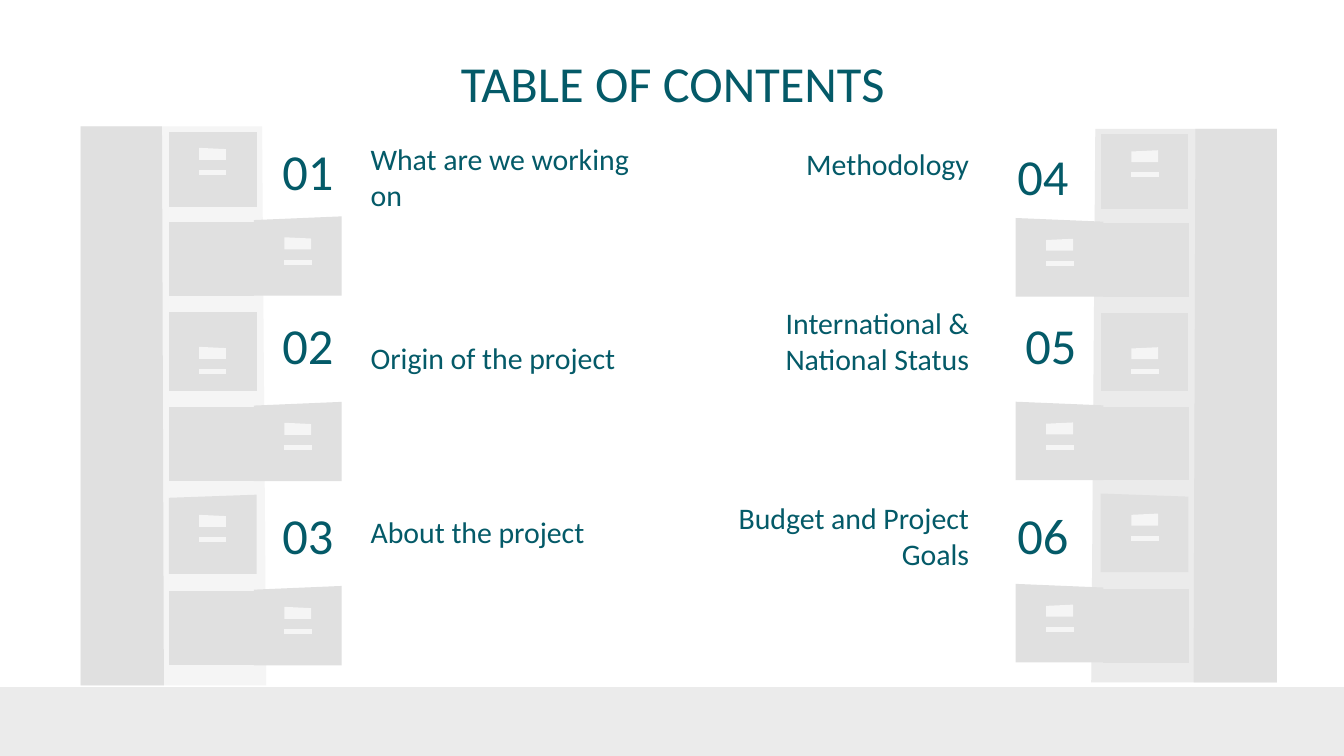
from pptx import Presentation
from pptx.dml.color import RGBColor
from pptx.enum.text import MSO_ANCHOR, PP_ALIGN
from pptx.util import Pt

TEAL = RGBColor(0x04, 0x5A, 0x68)
GREY = RGBColor(0xE0, 0xE0, 0xE0)
LIGHT_GREY = RGBColor(0xEB, 0xEB, 0xEB)
PALE_GREY = RGBColor(0xF5, 0xF5, 0xF5)

WIDTH, HEIGHT = 720, 405
FLOOR_TOP = 368
TITLE = ("TABLE OF CONTENTS", 56.9, 29.5, 607, 29.5)

# number, its left and top, topic, its left, top and height, alignment
TOPICS = [
    ("01", 139, 67.7, "What are we working on", 191.5, 70.6, 50.4, PP_ALIGN.LEFT),
    ("02", 139, 161.3, "Origin of the project", 191.5, 169.9, 38.2, PP_ALIGN.LEFT),
    ("03", 139, 262.8, "About the project", 191.5, 250.6, 51.1, PP_ALIGN.LEFT),
    ("04", 532.8, 70.6, "Methodology", 365, 74.9, 29.5, PP_ALIGN.RIGHT),
    ("05", 537.1, 161.3, "International & National Status", 365, 158.4, 50.4, PP_ALIGN.RIGHT),
    ("06", 532.8, 262.8, "Budget and Project Goals", 365, 262.1, 51.1, PP_ALIGN.RIGHT),
]
NUMBER_WIDTH, NUMBER_HEIGHT = 51.8, 56
TOPIC_WIDTH = 161.3

# outer edge, direction towards the slide centre, top, vertical scale, front colour
CABINETS = [
    (684, -1, 69.1, 0.99, LIGHT_GREY),
    (43.2, 1, 67.7, 1, PALE_GREY),
]
CABINET_HEIGHT = 299.5
DRAWER_WIDTH = 47
CLOSED_X, OPEN_X = 47.3, 92.9
# top, height, rise of the inner corner, offset of the label
CLOSED_DRAWERS = [(2.9, 40.3, 0, 8.6), (99.4, 42.5, 0, 18.7), (197.3, 42.5, 1.7, 10.8)]
OPEN_DRAWERS = [(48.2, 42.5, 2, 11.2), (147.6, 42.5, 2, 11.2), (246.2, 42.5, 2, 11.2)]


def add_polygon(slide, points, colour):
    start, *others = [(Pt(x), Pt(y)) for x, y in points]
    builder = slide.shapes.build_freeform(*start, scale=1.0)
    builder.add_line_segments(others, close=True)
    shape = builder.convert_to_shape()
    shape.shadow.inherit = False
    shape.fill.solid()
    shape.fill.fore_color.rgb = colour
    shape.line.fill.background()


def add_text(slide, text, left, top, width, height, size, alignment, anchor):
    box = slide.shapes.add_textbox(Pt(left), Pt(top), Pt(width), Pt(height))
    frame_format = {"word_wrap": True, "vertical_anchor": anchor}
    for side in ("left", "top", "right", "bottom"):
        frame_format[f"margin_{side}"] = Pt(7.2)
    for name, value in frame_format.items():
        setattr(box.text_frame, name, value)
    paragraph = box.text_frame.paragraphs[0]
    paragraph.alignment = alignment
    run = paragraph.add_run()
    run.text = text
    for name, value in {"name": "Calibri", "size": Pt(size)}.items():
        setattr(run.font, name, value)
    run.font.color.rgb = TEAL


def add_cabinet(slide, edge, direction, cabinet_top, scale, front_colour):
    """Draw a cabinet measured inwards from its outer edge and down from its top."""

    def add_part(points, colour):
        placed = [(edge + direction * x, cabinet_top + scale * y) for x, y in points]
        add_polygon(slide, placed, colour)

    def add_panel(x, y, width, height, colour, outer_drop=0, inner_drop=0):
        add_part([(x, y + outer_drop), (x, y + height),
                  (x + width, y + height), (x + width, y + inner_drop)], colour)

    def add_drawer(x, y, height, rise, label_offset):
        add_panel(x, y, DRAWER_WIDTH, height, GREY, outer_drop=rise)
        label_x, label_y = x + 16.2, y + label_offset
        add_panel(label_x, label_y, 14.4, 6.5, PALE_GREY, inner_drop=0.7)
        add_panel(label_x - 0.3, label_y + 12, 14.9, 2.7, PALE_GREY)

    for top_width, bottom_width, colour in ((97.2, 99.4, front_colour), (43.6, 44.6, GREY)):
        add_part([(0, 0), (0, CABINET_HEIGHT),
                  (bottom_width, CABINET_HEIGHT), (top_width, 0)], colour)
    for drawer in CLOSED_DRAWERS:
        add_drawer(CLOSED_X, *drawer)
    for drawer in OPEN_DRAWERS:
        top, height = drawer[:2]
        add_panel(CLOSED_X, top + 2.9, OPEN_X - CLOSED_X, height - 2.9, GREY)
        add_drawer(OPEN_X, *drawer)


def main():
    presentation = Presentation()
    presentation.slide_width, presentation.slide_height = Pt(WIDTH), Pt(HEIGHT)
    slide = presentation.slides.add_slide(presentation.slide_layouts[6])

    add_polygon(slide, [(0, FLOOR_TOP), (0, HEIGHT), (WIDTH, HEIGHT), (WIDTH, FLOOR_TOP)],
                LIGHT_GREY)
    add_text(slide, *TITLE, 27, PP_ALIGN.CENTER, MSO_ANCHOR.MIDDLE)
    for cabinet in CABINETS:
        add_cabinet(slide, *cabinet)
    for number, number_left, number_top, topic, left, top, height, alignment in TOPICS:
        add_text(slide, number, number_left, number_top, NUMBER_WIDTH, NUMBER_HEIGHT,
                 27, PP_ALIGN.CENTER, MSO_ANCHOR.TOP)
        add_text(slide, topic, left, top, TOPIC_WIDTH, height,
                 16, alignment, MSO_ANCHOR.BOTTOM)
    presentation.save("out.pptx")


if __name__ == "__main__":
    main()
